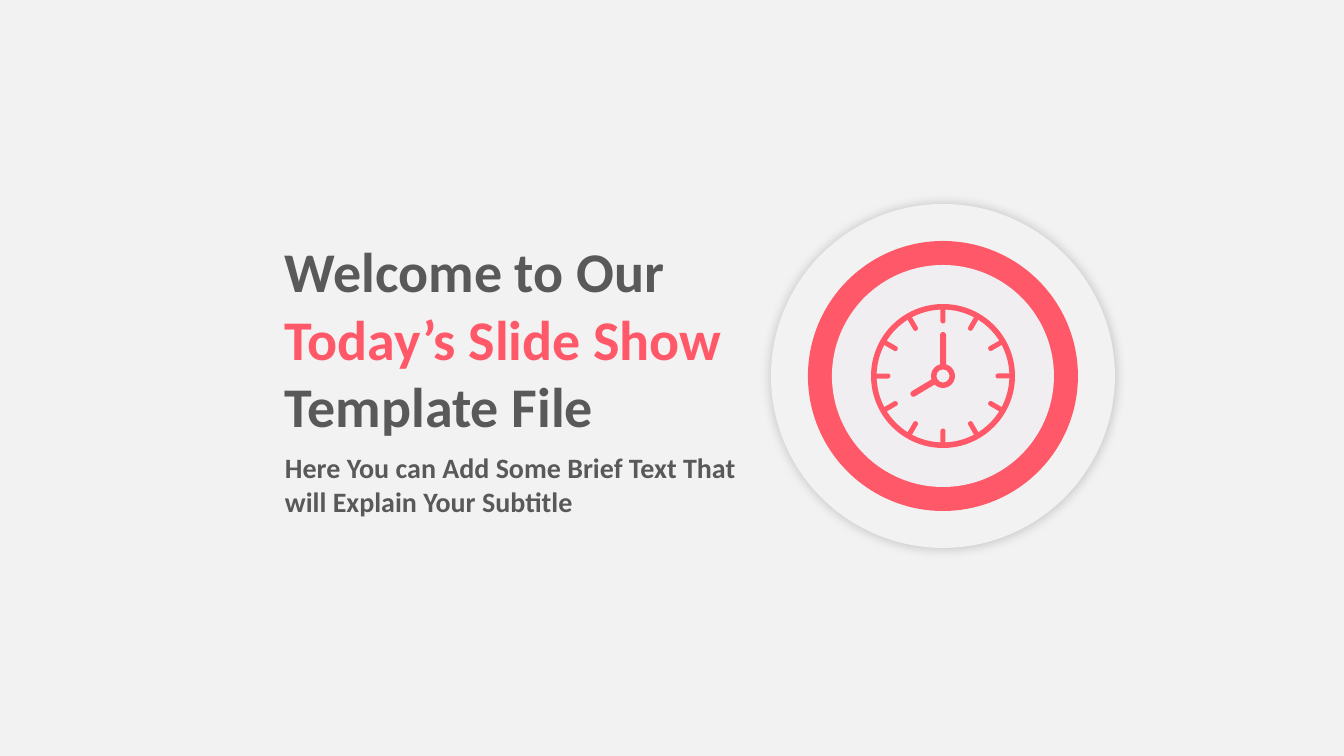
from math import cos, radians, sin

from lxml import etree
from pptx import Presentation
from pptx import util as u
from pptx.dml.color import RGBColor
from pptx.enum import shapes, text
from pptx.oxml.ns import qn

PX = 914400 / 100.8
CENTER_X, CENTER_Y = 943, 376
GRAY, CORAL, PALE, LILAC = "595959", "FF5969", "F2F2F2", "F0EEF0"
KIND = shapes.MSO_SHAPE


def color(value):
    return RGBColor.from_string(value)


def add_part(owner, kind, width, height, fill, adjust=(), angle=0, radius=0):
    left = CENTER_X + radius * sin(radians(angle)) - width / 2
    top = CENTER_Y - radius * cos(radians(angle)) - height / 2
    part = owner.shapes.add_shape(
        kind, *[u.Emu(round(value * PX)) for value in (left, top, width, height)])
    part.rotation = angle
    part.shadow.inherit = False
    part.fill.solid()
    part.fill.fore_color.rgb = color(fill)
    part.line.fill.background()
    for index, value in enumerate(adjust):
        part.adjustments[index] = value
    return part


deck = Presentation()
deck.slide_width = u.Emu(round(1344 * PX))
deck.slide_height = u.Emu(round(756 * PX))
page = deck.slides.add_slide(deck.slide_layouts[6])
page.background.fill.solid()
page.background.fill.fore_color.rgb = color(PALE)

heading = page.shapes.add_group_shape()
title = [("Welcome to Our ", GRAY), ("Today’s Slide Show ", CORAL), ("Template File", GRAY)]
subtitle = [("Here You can Add Some Brief Text That will Explain Your Subtitle", GRAY)]
for top, height, size, spans in [(232, 214, 40, title), (446, 78, 20, subtitle)]:
    box = heading.shapes.add_textbox(
        *[u.Emu(round(value * PX)) for value in (275, top, 486, height)])
    frame = box.text_frame
    frame.word_wrap = True
    frame.auto_size = text.MSO_AUTO_SIZE.SHAPE_TO_FIT_TEXT
    para = frame.paragraphs[0]
    para.font.name = "Calibri"
    para.font.size = u.Pt(size)
    para.font.bold = True
    for words, tint in spans:
        span = para.add_run()
        span.text = words
        span.font.color.rgb = color(tint)

plate = add_part(page, KIND.OVAL, 344, 344, PALE)
effects = plate._element.spPr.find(qn("a:effectLst"))
shadow = etree.SubElement(effects, qn("a:outerShdw"), blurRad=str(u.Pt(8)), dist="0", dir="0")
shade = etree.SubElement(shadow, qn("a:srgbClr"), val="000000")
etree.SubElement(shade, qn("a:alpha"), val="20000")

add_part(page, KIND.OVAL, 270, 270, CORAL)
add_part(page, KIND.OVAL, 222, 222, LILAC)

clock = page.shapes.add_group_shape()
for hour in range(12):
    add_part(clock, KIND.ROUNDED_RECTANGLE, 5, 17, CORAL, [0.5], hour * 30, 61)
add_part(clock, KIND.DONUT, 144, 144, CORAL, [0.039])
add_part(clock, KIND.DONUT, 24, 24, CORAL, [0.226])
for length, angle, radius in [(29, 239, 23), (34, 0, 27)]:
    add_part(clock, KIND.ROUND_2_SAME_RECTANGLE, 6, length, CORAL, [0.5, 0], angle, radius)

deck.save("out.pptx")
